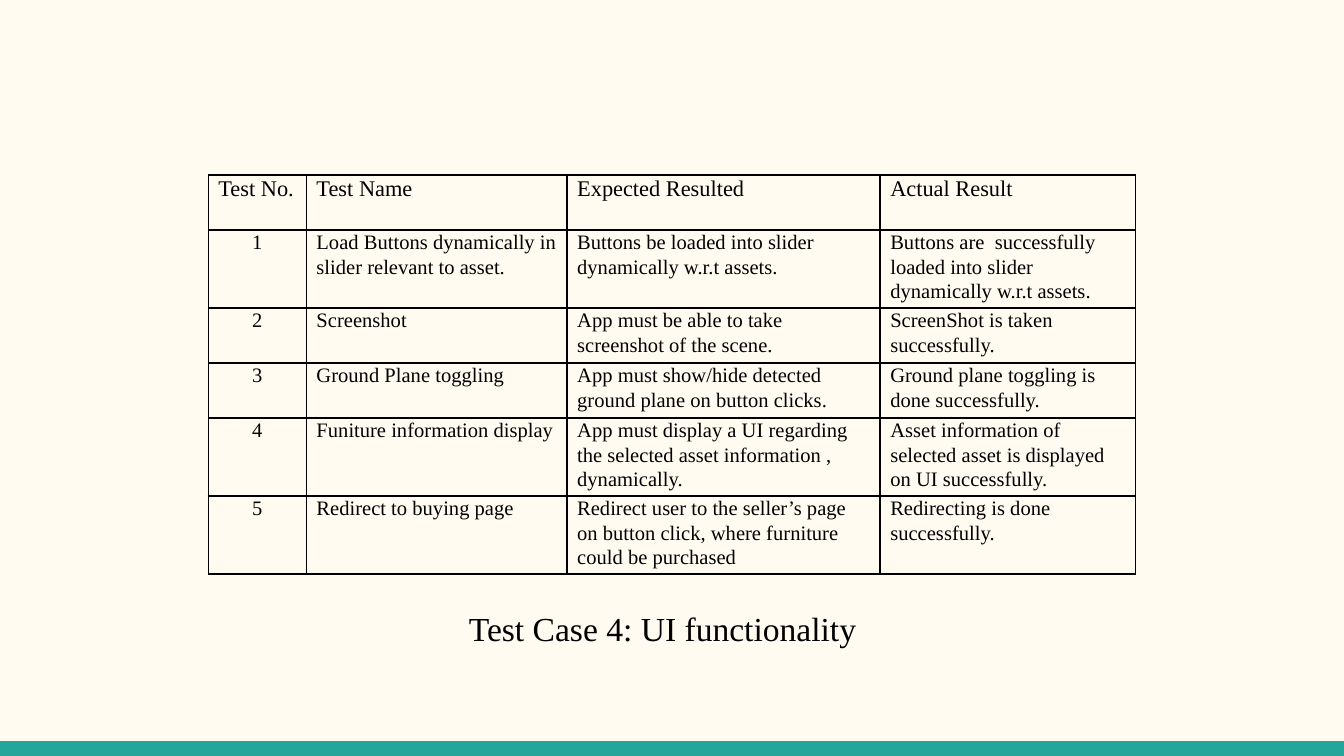
from typing import NamedTuple

import pptx
import pptx.dml.color
import pptx.enum.shapes
import pptx.enum.text
import pptx.oxml
import pptx.oxml.ns
import pptx.util

Inches = pptx.util.Inches
Align = pptx.enum.text.PP_ALIGN

FONT = "Times New Roman"
BLACK = "000000"
CREAM = "FFFBF0"
TEAL = "26A69A"
COLUMN_WIDTHS = (0.73, 1.94, 2.33, 1.9)
TWO_LINES = 0.41
THREE_LINES = 0.58


class TestCase(NamedTuple):
    number: str
    name: str
    expected: str
    actual: str


class Row(NamedTuple):
    case: TestCase
    height: float


ROWS = [
    Row(
        TestCase("Test No.", "Test Name", "Expected Resulted", "Actual Result"),
        TWO_LINES,
    ),
    Row(
        TestCase(
            "1",
            "Load Buttons dynamically in slider relevant to asset.",
            "Buttons be loaded into slider dynamically w.r.t assets.",
            "Buttons are  successfully loaded into slider\ndynamically w.r.t assets.",
        ),
        THREE_LINES,
    ),
    Row(
        TestCase(
            "2",
            "Screenshot",
            "App must be able to take screenshot of the scene.",
            "ScreenShot is taken successfully.",
        ),
        TWO_LINES,
    ),
    Row(
        TestCase(
            "3",
            "Ground Plane toggling",
            "App must show/hide detected ground plane on button clicks.",
            "Ground plane toggling is done successfully.",
        ),
        TWO_LINES,
    ),
    Row(
        TestCase(
            "4",
            "Funiture information display",
            "App must display a UI regarding the selected asset information , dynamically.",
            "Asset information of selected asset is displayed on UI successfully.",
        ),
        THREE_LINES,
    ),
    Row(
        TestCase(
            "5",
            "Redirect to buying page",
            "Redirect user to the seller’s page on button click, where furniture could be purchased",
            "Redirecting is done successfully.",
        ),
        THREE_LINES,
    ),
]


def paint(fill, color: str) -> None:
    fill.solid()
    fill.fore_color.rgb = pptx.dml.color.RGBColor.from_string(color)


def write(frame, text: str, *, size: float, align=Align.LEFT, after: float = 0) -> None:
    frame.word_wrap = True
    frame.text = text
    for para in frame.paragraphs:
        para.alignment = align
        para.line_spacing = 1.07
        para.space_after = pptx.util.Pt(after)
        for span in para.runs:
            span.font.name = FONT
            span.font.size = pptx.util.Pt(size)
            paint(span.font.fill, BLACK)


def outline_cell(cell, color: str, width: float) -> None:
    properties = cell._tc.get_or_add_tcPr()
    for index, side in enumerate(("lnL", "lnR", "lnT", "lnB")):
        border = pptx.oxml.parse_xml(
            f'<a:{side} {pptx.oxml.ns.nsdecls("a")} w="{pptx.util.Pt(width)}">'
            f'<a:solidFill><a:srgbClr val="{color}"/></a:solidFill></a:{side}>'
        )
        properties.insert(index, border)


def draw_table(page, rows: list[Row], left: float, top: float) -> None:
    table = page.shapes.add_table(
        len(rows), len(COLUMN_WIDTHS), Inches(left), Inches(top),
        Inches(sum(COLUMN_WIDTHS)), Inches(sum(row.height for row in rows)),
    ).table
    table.first_row = False
    table.horz_banding = False
    for column, width in zip(table.columns, COLUMN_WIDTHS):
        column.width = Inches(width)
    for row_index, row in enumerate(rows):
        table.rows[row_index].height = Inches(row.height)
        for column_index, text in enumerate(row.case):
            cell = table.cell(row_index, column_index)
            cell.margin_left = cell.margin_right = pptx.util.Pt(5.4)
            cell.margin_top = cell.margin_bottom = 0
            cell.fill.background()
            outline_cell(cell, BLACK, 1)
            centred = row_index > 0 and column_index == 0
            write(
                cell.text_frame, text,
                size=11 if row_index else 12,
                align=Align.CENTER if centred else Align.LEFT,
            )


def main() -> None:
    deck = pptx.Presentation()
    deck.slide_width = Inches(10)
    deck.slide_height = Inches(10) * 9 // 16
    page = deck.slides.add_slide(deck.slide_layouts[6])
    paint(page.background.fill, CREAM)

    footer_height = Inches(0.11)
    footer = page.shapes.add_shape(
        pptx.enum.shapes.MSO_SHAPE.RECTANGLE,
        Inches(0), deck.slide_height - footer_height, deck.slide_width, footer_height,
    )
    footer.shadow.inherit = False
    footer.line.fill.background()
    paint(footer.fill, TEAL)

    draw_table(page, ROWS, 1.55, 1.3)

    caption = page.shapes.add_textbox(
        Inches(3.39), Inches(4.45), Inches(3.21), Inches(0.4)
    )
    write(caption.text_frame, "Test Case 4: UI functionality", size=18, after=8)
    caption.text_frame.auto_size = pptx.enum.text.MSO_AUTO_SIZE.SHAPE_TO_FIT_TEXT

    deck.save("out.pptx")


if __name__ == "__main__":
    main()
